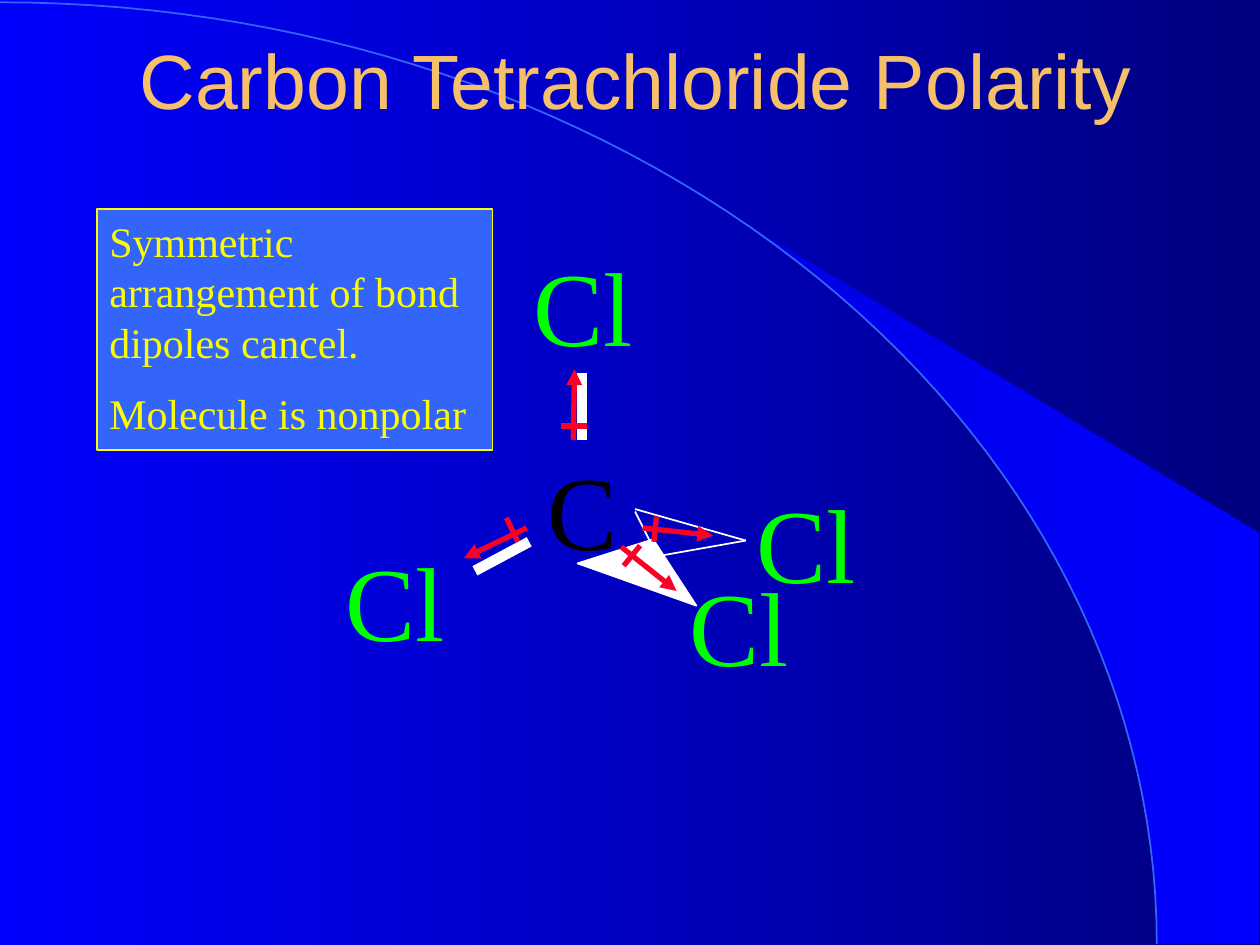
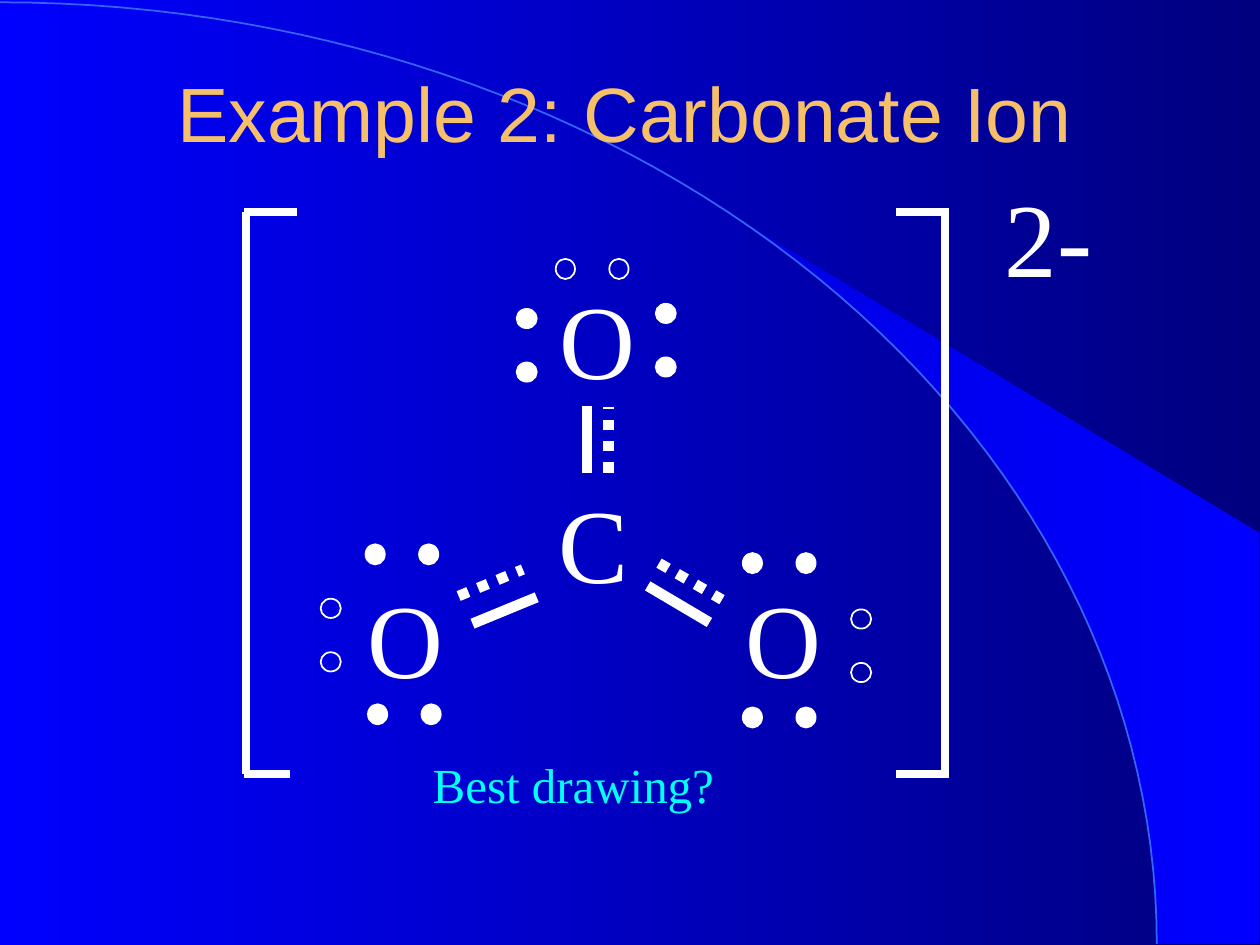
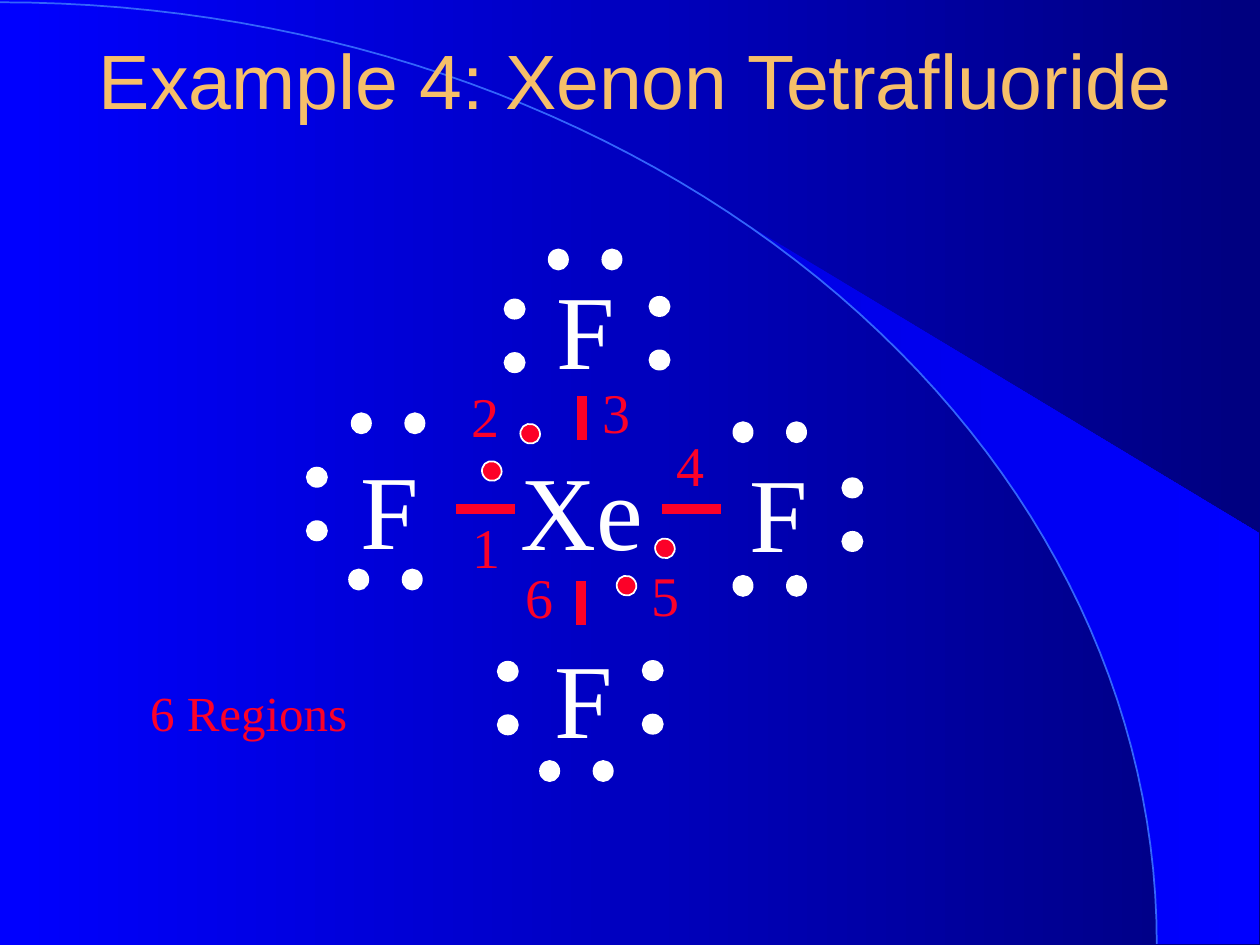
import math

from lxml import etree
from pptx import Presentation
from pptx import util as u
from pptx.dml.color import RGBColor
from pptx.enum import dml, shapes, text
from pptx.oxml.ns import qn

WHITE, BLACK, RED, GREEN = "FFFFFF", "000000", "FC0128", "00FF00"
YELLOW, CYAN, GOLD, SKY = "FAFD00", "00FFFF", "F6BF69", "3365FB"
SERIF, SANS = "Times New Roman", "Arial"
WIDTH, HEIGHT = 720, 540

ATOM_SIZE = (89.3, 79.2)
NUMBER_SIZE = (38.2, 45.4)
DOT_SIZE = (11, 11.5)
DOT_GAP = 30.6
ACROSS, UP, DIAGONAL = 0, 90, 44.2  # directions of an electron pair, in degrees
WIDE_TITLE = (38.2, 0, 650.2, 90)
LOW_TITLE = (51.1, 18.7, 612, 90)

# Places are in points: atoms and numbers by top left corner, pairs by centre,
# lines as x1, y1, x2, y2.
CHLORIDE = {
    "atoms": [("C", 288, 251.3, BLACK), ("Cl", 181.4, 303.1, GREEN), ("Cl", 416.2, 270, GREEN),
              ("Cl", 288.7, 134.6, GREEN), ("Cl", 378, 317.5, GREEN)],
    "bonds": [(271.4, 326.2, 302.4, 309.6), (332.6, 251.3, 332.6, 213.1)],
    "wedge": (332.6, 307.4, 72, 27.4),
    "back wedge": [(362.9, 292.3, 376.6, 319.7), (362.9, 290.9, 426.2, 308.9),
                   (426.2, 308.9, 373.7, 318.2)],
    "dipoles": [((327.6, 251.3, 328.3, 211), (335.5, 243.4, 320.4, 243.4)),
                ((355, 312.5, 386.6, 337.7), (356.4, 323.3, 365.8, 311.8)),
                ((301, 301.7, 265, 319), (289.4, 295.9, 295.9, 309.6)),
                ((367.2, 301.7, 407.5, 306), (373.7, 309.6, 375.1, 295.2))],
    "note": ["Symmetric arrangement of bond dipoles cancel.", "Molecule is nonpolar"],
    "note place": (55.4, 119.5, 226.1, 137.5),
}
CARBONATE = {
    "atoms": [("C", 294.5, 270, WHITE), ("O", 187.2, 324, WHITE), ("O", 403.2, 324, WHITE),
              ("O", 296.6, 153.4, WHITE), ("2-", 554.4, 95, WHITE)],
    "bonds": [(270, 356.4, 306.7, 341.3), (370.1, 334.8, 405.4, 355.7),
              (335.5, 270, 335.5, 231.8)],
    "partial bonds": [(262.1, 340.6, 298.8, 325.4), (376.6, 321.8, 412.6, 342.7),
                      (347.8, 270, 347.8, 232.6)],
    "brackets": [(140.4, 121, 140.4, 442.1), (139.7, 442.1, 165.6, 442.1),
                 (139.7, 121, 169.9, 121), (540, 121, 540, 442.1),
                 (542.2, 442.1, 511.9, 442.1), (542.2, 121, 511.9, 121)],
    "pairs": [(445.3, 410, ACROSS), (445.3, 321.8, ACROSS), (380.5, 194.4, UP),
              (301, 197.3, UP), (231.1, 408.2, ACROSS), (229.7, 316.8, ACROSS)],
    "partial pairs": [(338.4, 153.7, ACROSS), (492.1, 369, UP), (189, 362.9, UP)],
}
FLUORIDE = {
    "atoms": [("Xe", 288, 251.3, WHITE), ("F", 177.8, 250.6, WHITE), ("F", 400.3, 252, WHITE),
              ("F", 290.2, 147.6, WHITE), ("F", 288.7, 358.6, WHITE)],
    "bonds": [(260.6, 290.9, 294.5, 290.9), (378, 290.9, 411.8, 290.9),
              (332.6, 251.3, 332.6, 226.1), (331.9, 357.1, 331.9, 331.9)],
    "pairs": [(439.9, 334.8, ACROSS), (487.1, 294.1, UP), (439.9, 247, ACROSS),
              (334.4, 148.3, ACROSS), (376.9, 190.4, UP), (294.1, 191.9, UP),
              (329.4, 440.6, ACROSS), (373, 398.5, UP), (290.2, 398.9, UP),
              (220.3, 331.2, ACROSS), (181.1, 288, UP), (221.8, 241.9, ACROSS)],
    "lone pairs": [(292, 258.5, DIAGONAL), (369, 324, DIAGONAL)],
    "numbers": [(262.8, 289.4), (262.1, 214.6), (337, 212.4),
                (379.4, 242.6), (365, 316.8), (293, 318.2)],
}


def color(value):
    return RGBColor.from_string(value)


def points(values):
    return [u.Pt(value) for value in values]


def paint(shape, fill=None, line=None, width=1):
    shape.shadow.inherit = False
    if fill:
        shape.fill.solid()
        shape.fill.fore_color.rgb = color(fill)
    else:
        shape.fill.background()
    if line:
        shape.line.color.rgb = color(line)
        shape.line.width = u.Pt(width)
    else:
        shape.line.fill.background()


def shade(fill, start, end):
    """Give a fill a left-to-right gradient."""
    fill.gradient()
    fill.gradient_angle = 0
    for stop, value in zip(fill.gradient_stops, (start, end)):
        stop.color.rgb = color(value)


def write(frame, lines, size, ink, font=SERIF, align=text.PP_ALIGN.CENTER,
          anchor=text.MSO_ANCHOR.TOP, fit=text.MSO_AUTO_SIZE.SHAPE_TO_FIT_TEXT):
    frame.word_wrap = True
    frame.auto_size = fit
    frame.vertical_anchor = anchor
    for index, line in enumerate(lines):
        para = frame.add_paragraph() if index else frame.paragraphs[0]
        para.alignment = align
        if index:
            para.space_before = u.Pt(size / 2)
        span = para.add_run()
        span.text = line
        span.font.name = font
        span.font.size = u.Pt(size)
        span.font.color.rgb = color(ink)


def add_label(page, label, place, size, ink, **style):
    box = page.shapes.add_textbox(*points(place))
    write(box.text_frame, [label], size, ink, **style)


def add_atoms(page, atoms):
    for symbol, left, top, ink in atoms:
        add_label(page, symbol, (left, top, *ATOM_SIZE), 60, ink)


def add_lines(page, ends, ink=WHITE, width=6, dash=None, arrow=False):
    for end in ends:
        line = page.shapes.add_connector(shapes.MSO_CONNECTOR.STRAIGHT, *points(end))
        line.line.color.rgb = color(ink)
        line.line.width = u.Pt(width)
        if dash:
            line.line.dash_style = dash
        properties = line.element.spPr
        if arrow:
            etree.SubElement(properties.find(qn("a:ln")), qn("a:tailEnd"), type="triangle")
        etree.SubElement(properties, qn("a:effectLst"))


def add_pairs(page, pairs, fill=WHITE):
    """Draw two dots per pair, on both sides of its centre along its direction."""
    width, height = DOT_SIZE
    for x, y, angle in pairs:
        for side in (-DOT_GAP / 2, DOT_GAP / 2):
            left = x + side * math.cos(math.radians(angle)) - width / 2
            top = y - side * math.sin(math.radians(angle)) - height / 2
            dot = page.shapes.add_shape(shapes.MSO_SHAPE.OVAL, *points((left, top, width, height)))
            dot.rotation = -angle % 360
            paint(dot, fill, WHITE)


def add_outline(page, corners, close):
    start, *rest = [points(corner) for corner in corners]
    builder = page.shapes.build_freeform(*start)
    builder.add_line_segments(rest, close=close)
    return builder.convert_to_shape()


def arc(start, steps=60):
    """Return points of the quarter ellipse from a start x to the bottom edge."""
    across, down, bottom = 661, 538, 539.3
    first = math.asin(start / across)
    turns = [first + (math.pi / 2 - first) * step / steps for step in range(steps + 1)]
    return [(across * math.sin(turn), bottom - down * math.cos(turn)) for turn in turns]


def decorate_master(deck, page):
    """Draw the backdrop on a page, then move it to the master all pages share."""
    master = deck.slide_master
    shade(master.background.fill, "0000FF", "00007F")
    beam = add_outline(page, arc(424) + [(719.3, 539.3), (719.3, 304.6)], close=True)
    paint(beam)
    shade(beam.fill, "0000E5", "0000FF")
    curve = add_outline(page, arc(0), close=False)
    paint(curve, line=SKY)
    for number, shape in enumerate((beam, curve), 101):
        shape.element.nvSpPr.cNvPr.id = number
        master.shapes.element.append(shape.element)


def add_page(deck, title, place):
    page = deck.slides.add_slide(deck.slide_layouts[5])
    head = page.shapes.title
    head.left, head.top, head.width, head.height = points(place)
    write(head.text_frame, [title], 44, GOLD, font=SANS,
          anchor=text.MSO_ANCHOR.MIDDLE, fit=text.MSO_AUTO_SIZE.NONE)
    return page


def draw_chloride(page):
    add_atoms(page, CHLORIDE["atoms"])
    add_lines(page, CHLORIDE["bonds"])
    wedge = page.shapes.add_shape(shapes.MSO_SHAPE.ISOSCELES_TRIANGLE, *points(CHLORIDE["wedge"]))
    wedge.rotation = 19.6
    paint(wedge, WHITE, WHITE)
    add_lines(page, CHLORIDE["back wedge"], width=1)
    for arrow, cross in CHLORIDE["dipoles"]:
        add_lines(page, [arrow], RED, 3, arrow=True)
        add_lines(page, [cross], RED, 3)
    note = page.shapes.add_shape(shapes.MSO_SHAPE.RECTANGLE, *points(CHLORIDE["note place"]))
    paint(note, SKY, YELLOW)
    write(note.text_frame, CHLORIDE["note"], 24, YELLOW, align=text.PP_ALIGN.LEFT)


def draw_carbonate(page):
    add_atoms(page, CARBONATE["atoms"])
    add_lines(page, CARBONATE["bonds"])
    add_lines(page, CARBONATE["partial bonds"], dash=dml.MSO_LINE.ROUND_DOT)
    add_lines(page, CARBONATE["brackets"], width=4.5)
    add_pairs(page, CARBONATE["pairs"])
    add_pairs(page, CARBONATE["partial pairs"], fill=None)
    add_label(page, "Best drawing?", (213.1, 427.7, 229, 41), 28, CYAN)


def draw_fluoride(page):
    add_atoms(page, FLUORIDE["atoms"])
    add_lines(page, FLUORIDE["bonds"], RED)
    add_pairs(page, FLUORIDE["pairs"])
    add_pairs(page, FLUORIDE["lone pairs"], RED)
    add_label(page, "6 Regions", (60.4, 386.6, 163.4, 41), 28, RED)
    for number, corner in enumerate(FLUORIDE["numbers"], 1):
        add_label(page, str(number), (*corner, *NUMBER_SIZE), 32, RED, align=text.PP_ALIGN.LEFT)


PAGES = [
    ("Carbon Tetrachloride Polarity", WIDE_TITLE, draw_chloride),
    ("Example 2: Carbonate Ion", LOW_TITLE, draw_carbonate),
    ("Example 4: Xenon Tetrafluoride", WIDE_TITLE, draw_fluoride),
]


def main():
    deck = Presentation()
    deck.slide_width, deck.slide_height = points((WIDTH, HEIGHT))
    for title, place, draw in PAGES:
        draw(add_page(deck, title, place))
    decorate_master(deck, deck.slides[0])
    deck.save("out.pptx")


if __name__ == "__main__":
    main()
